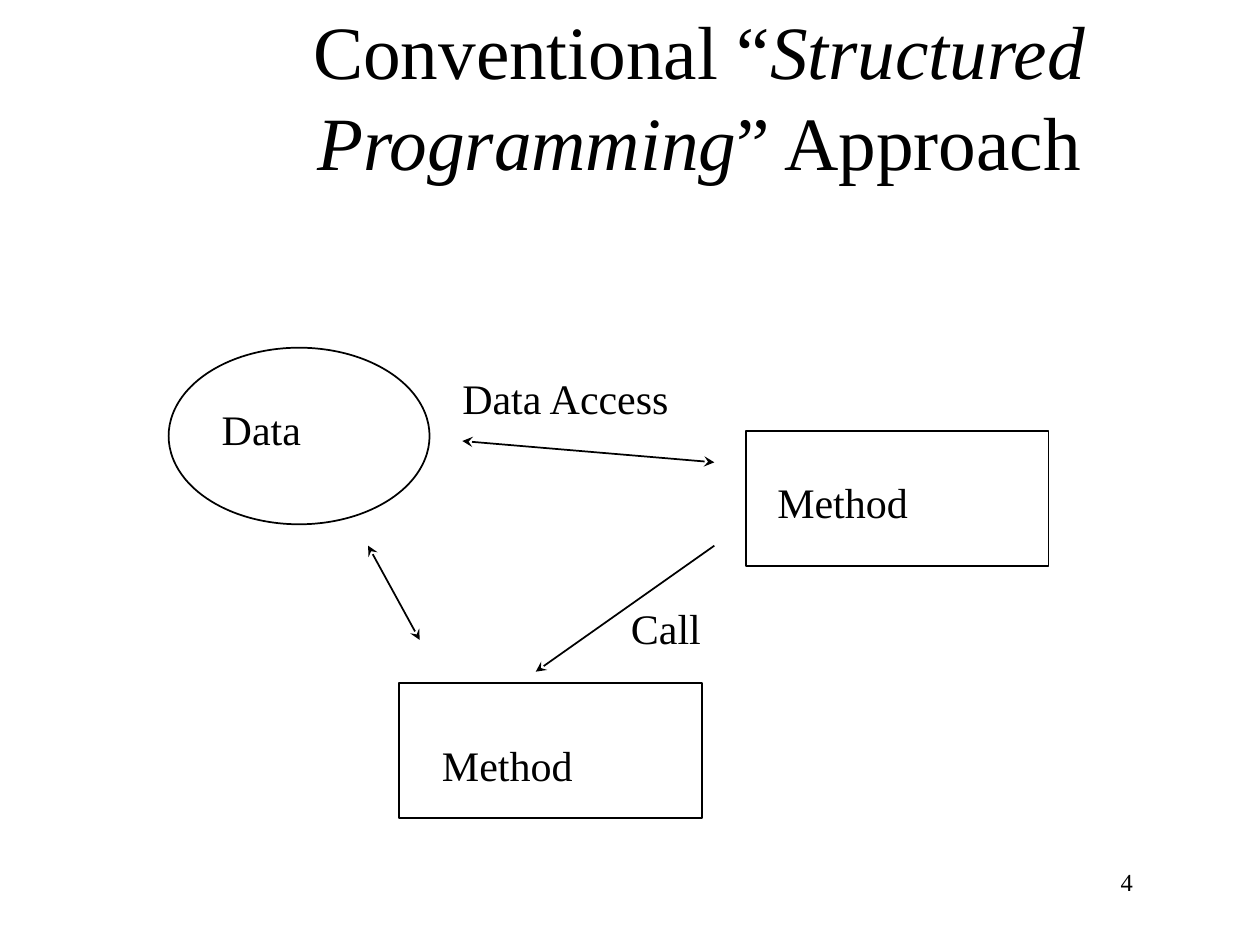
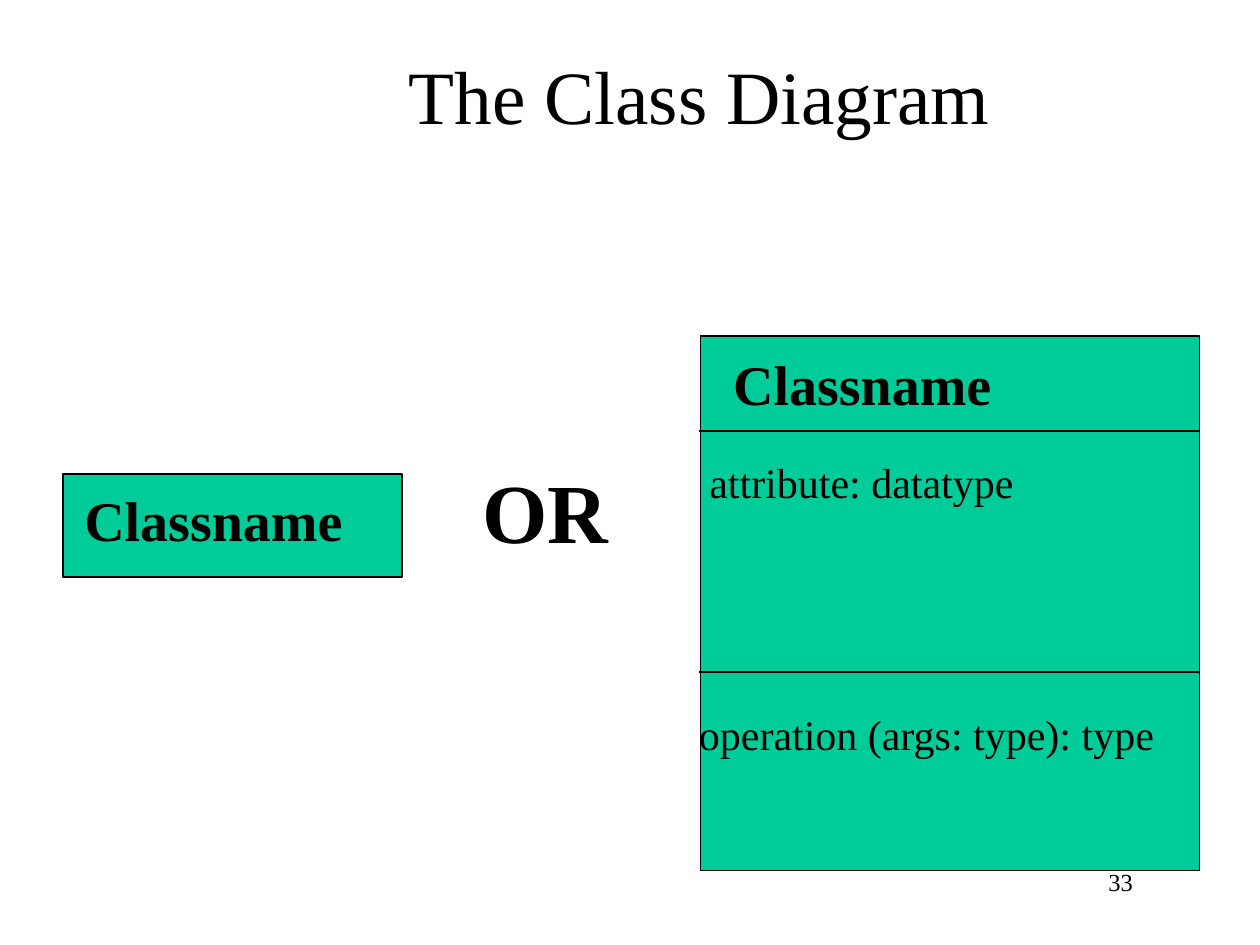
from dataclasses import dataclass

from lxml import etree
from pptx import Presentation
from pptx.dml.color import RGBColor
from pptx.enum.shapes import MSO_CONNECTOR, MSO_SHAPE
from pptx.enum.text import MSO_ANCHOR, MSO_AUTO_SIZE, PP_ALIGN
from pptx.oxml.ns import qn
from pptx.util import Cm, Pt

LEFT, CENTER, RIGHT = PP_ALIGN.LEFT, PP_ALIGN.CENTER, PP_ALIGN.RIGHT
TOP, MIDDLE = MSO_ANCHOR.TOP, MSO_ANCHOR.MIDDLE
RECT, OVAL = MSO_SHAPE.RECTANGLE, MSO_SHAPE.OVAL
STRAIGHT = MSO_CONNECTOR.STRAIGHT
FIT, FIXED = MSO_AUTO_SIZE.SHAPE_TO_FIT_TEXT, MSO_AUTO_SIZE.NONE
TITLE_ONLY = 5


@dataclass(frozen=True)
class Theme:
    font: str = "Times New Roman"
    ink: RGBColor = RGBColor(0, 0, 0)
    paper: RGBColor = RGBColor(255, 255, 255)
    green: RGBColor = RGBColor(0, 204, 153)
    title: int = 43
    join: int = 48
    name: int = 32
    label: int = 24
    page: int = 14
    line: int = 1


def put_text(frame, theme, *parts, size, bold=False, align=LEFT,
             anchor=TOP, wrap=False, fit=FIT):
    frame.word_wrap = wrap
    frame.auto_size = fit
    frame.vertical_anchor = anchor
    frame.margin_left = frame.margin_right = Cm(0.25)
    frame.margin_top = frame.margin_bottom = Cm(0.13)
    para = frame.paragraphs[0]
    para.alignment = align
    for part in parts:
        text, slant = part if isinstance(part, tuple) else (part, False)
        run = para.add_run()
        run.text = text
        font = run.font
        font.name, font.size = theme.font, Pt(size)
        font.bold, font.italic = bold, slant
        font.color.rgb = theme.ink


class Deck:
    def __init__(self, theme):
        self.theme = theme
        self.show = Presentation()
        self.show.slide_width, self.show.slide_height = Cm(25.4), Cm(19.05)
        self.slide = None

    def page(self, number, *title):
        self.slide = self.show.slides.add_slide(
            self.show.slide_layouts[TITLE_ONLY])
        back = self.slide.background.fill
        back.solid()
        back.fore_color.rgb = self.theme.paper
        head = self.slide.shapes.title
        head.left, head.top = Cm(3.61), Cm(0.64)
        head.width, head.height = Cm(20.96), Cm(2.54)
        put_text(head.text_frame, self.theme, *title, size=self.theme.title,
                 align=CENTER, anchor=MIDDLE, wrap=True, fit=FIXED)
        self.text(str(number), 18.21, 17.35, 4.88, 1.32,
                  size=self.theme.page, align=RIGHT, wrap=True, fit=FIXED)

    def text(self, words, left, top, width, height=1.27, **style):
        box = self.slide.shapes.add_textbox(
            Cm(left), Cm(top), Cm(width), Cm(height))
        style.setdefault("size", self.theme.label)
        put_text(box.text_frame, self.theme, words, **style)

    def shape(self, kind, left, top, width, height, fill=None):
        form = self.slide.shapes.add_shape(
            kind, Cm(left), Cm(top), Cm(width), Cm(height))
        form.shadow.inherit = False
        if fill is None:
            form.fill.background()
        else:
            form.fill.solid()
            form.fill.fore_color.rgb = fill
        self.stroke(form.line)

    def line(self, start, end, *tips):
        link = self.slide.shapes.add_connector(
            STRAIGHT, *(Cm(n) for n in start + end))
        self.stroke(link.line)
        pen = link.line._get_or_add_ln()
        for tip in tips:
            etree.SubElement(pen, qn(f"a:{tip}End"), type="stealth")
        etree.SubElement(link._element.spPr, qn("a:effectLst"))

    def stroke(self, line):
        line.color.rgb = self.theme.ink
        line.width = Pt(self.theme.line)


def draw_calls(deck):
    deck.page(4, "Conventional “", ("Structured Programming", True),
              "” Approach")
    deck.shape(OVAL, 3.4, 7.01, 5.26, 3.56)
    for left, top in ((8.05, 13.77), (15.04, 8.69)):
        deck.shape(RECT, left, top, 6.1, 2.72)
    deck.line((7.42, 11), (8.46, 12.9), "head", "tail")
    deck.line((9.32, 8.89), (14.4, 9.32), "head", "tail")
    deck.line((10.8, 13.54), (14.4, 11), "head")
    for words, left, top, width in (
            ("Data", 4.22, 8, 2.11),
            ("Call", 12.47, 12.01, 1.93),
            ("Data Access", 9.07, 7.37, 4.72),
            ("Method", 15.42, 9.47, 3.15),
            ("Method", 8.66, 14.78, 3.15)):
        deck.text(words, left, top, width)


def draw_class(deck):
    theme = deck.theme
    deck.page(33, "The Class Diagram")
    deck.shape(RECT, 1.27, 9.55, 6.83, 2.08, theme.green)
    deck.shape(RECT, 14.12, 6.78, 10.06, 10.77, theme.green)
    for top in (8.69, 13.54):
        deck.line((14.1, top), (24.18, top))
    for left, top in ((1.45, 9.65), (14.53, 6.91)):
        deck.text("Classname", left, top, 5.72, 1.6,
                  size=theme.name, bold=True)
    deck.text("attribute: datatype", 14.05, 9.07, 6.65)
    deck.text("operation (args: type): type", 13.84, 14.15, 9.7)
    deck.text("OR", 9.47, 9.14, 3.05, 2.29, size=theme.join, bold=True)


def main():
    deck = Deck(Theme())
    draw_calls(deck)
    draw_class(deck)
    deck.show.save("out.pptx")


if __name__ == "__main__":
    main()
